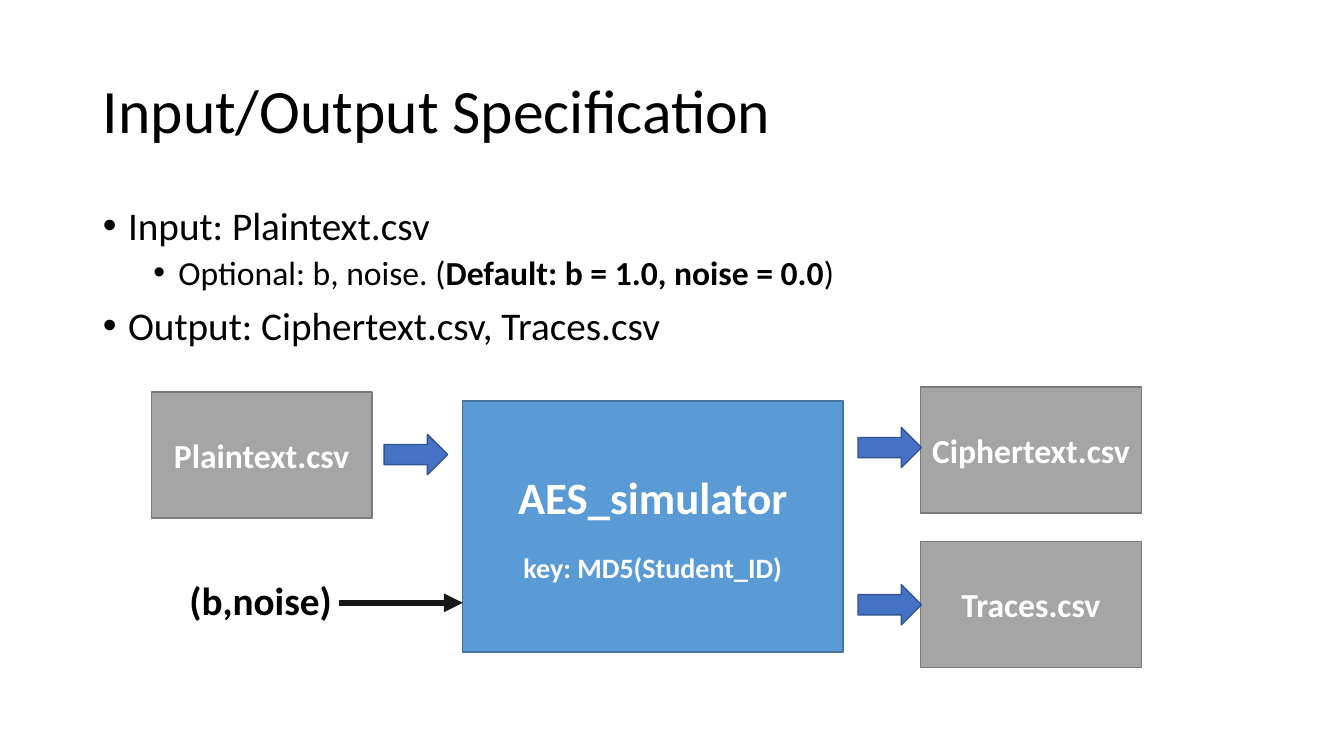
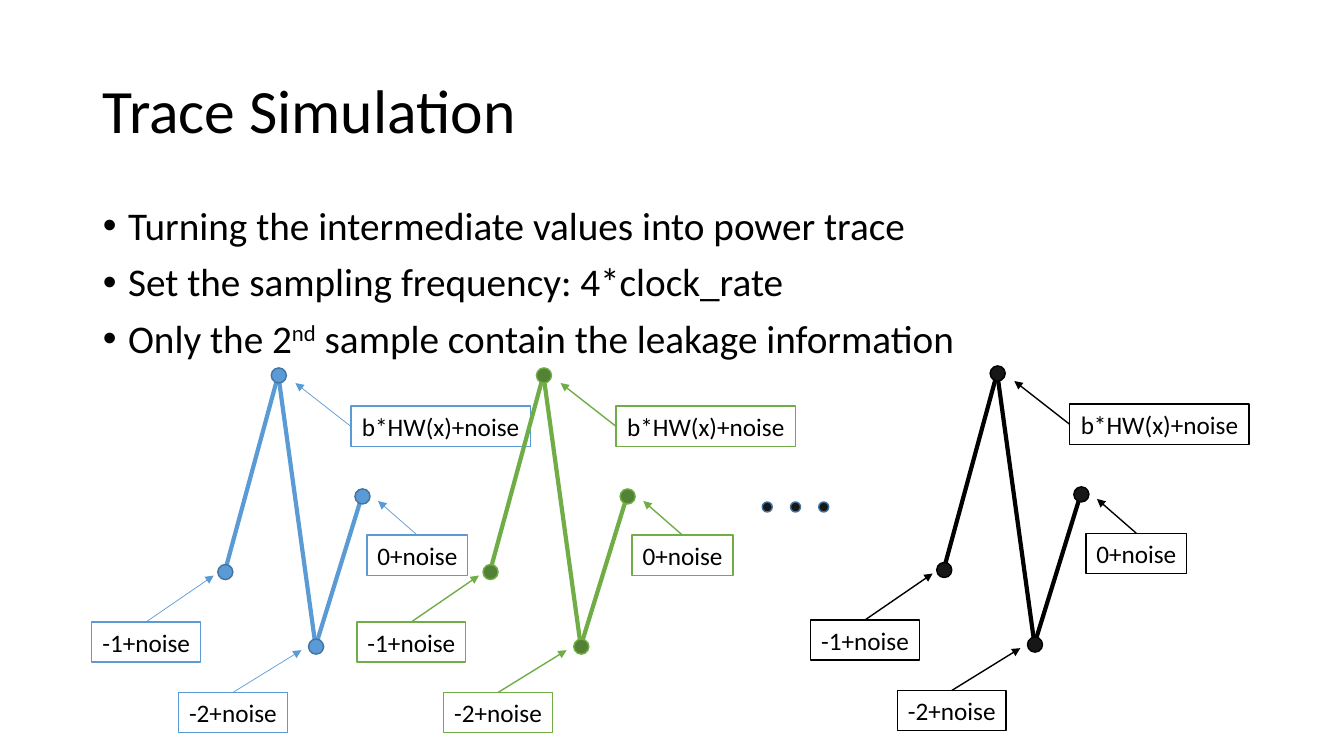
from lxml import etree
from pptx import Presentation
from pptx.dml.color import RGBColor
from pptx.enum.shapes import MSO_CONNECTOR, MSO_SHAPE
from pptx.enum.text import MSO_ANCHOR, MSO_AUTO_SIZE, PP_ALIGN
from pptx.oxml.ns import qn
from pptx.util import Pt

PX = 9144
FONT = "Calibri"
BLACK = RGBColor(0x00, 0x00, 0x00)
WHITE = RGBColor(0xFF, 0xFF, 0xFF)
INK = RGBColor(0x18, 0x17, 0x17)
BLUE = RGBColor(0x5B, 0x9B, 0xD5)
BLUE_EDGE = RGBColor(0x43, 0x73, 0x9E)
ARROW_BLUE = RGBColor(0x44, 0x72, 0xC4)
ARROW_EDGE = RGBColor(0x32, 0x54, 0x91)
GRAY = RGBColor(0xA5, 0xA5, 0xA5)
GRAY_EDGE = RGBColor(0x7A, 0x7A, 0x7A)
GREEN = RGBColor(0x70, 0xAD, 0x47)
DARK_GREEN = RGBColor(0x54, 0x82, 0x35)

RECTANGLE = MSO_SHAPE.RECTANGLE
OVAL = MSO_SHAPE.OVAL
RIGHT_ARROW = MSO_SHAPE.RIGHT_ARROW
STRAIGHT = MSO_CONNECTOR.STRAIGHT
LEFT, CENTER = PP_ALIGN.LEFT, PP_ALIGN.CENTER
TOP, MIDDLE = MSO_ANCHOR.TOP, MSO_ANCHOR.MIDDLE
NO_FIT = MSO_AUTO_SIZE.NONE
TOP_SIDE, LEFT_SIDE = 0, 1

DOT = 15
SAMPLES = [(223, 567), (276, 372), (313, 641), (359, 492)]
LABELS = [
    ("-1+noise", 91, 617, 108, TOP_SIDE, (212, 571)),
    ("-2+noise", 177, 687, 108, TOP_SIDE, (299, 645)),
    ("0+noise", 364, 531, 100, TOP_SIDE, (375, 497)),
    ("b*HW(x)+noise", 348, 403, 178, LEFT_SIDE, (293, 380)),
]


class Deck:
    def __init__(self):
        self.deck = Presentation()
        self.deck.slide_width = 1333 * PX
        self.deck.slide_height = 750 * PX
        self.slide = None

    def place(self, shape, left, top, width, height):
        shape.left, shape.top = left * PX, top * PX
        shape.width, shape.height = width * PX, height * PX

    def span(self, para, text, size, color=BLACK, bold=False, raised=False):
        span = para.add_run()
        span.text = text
        font = span.font
        font.name, font.size, font.bold = FONT, Pt(size), bold
        font.color.rgb = color
        if raised:
            span._r.get_or_add_rPr().set("baseline", "30000")

    def new_slide(self, title):
        self.slide = self.deck.slides.add_slide(self.deck.slide_layouts[1])
        holder = self.slide.shapes.title
        self.place(holder, 92, 40, 1150, 145)
        frame = holder.text_frame
        frame.auto_size = NO_FIT
        frame.vertical_anchor = MIDDLE
        para = frame.paragraphs[0]
        para.alignment, para.line_spacing = LEFT, 0.9
        self.span(para, title, 44)

    def bullets(self, items):
        holder = self.slide.placeholders[1]
        self.place(holder, 92, 200, 1150, 476)
        frame = holder.text_frame
        frame.auto_size = NO_FIT
        frame.vertical_anchor = TOP
        for index, (level, spans) in enumerate(items):
            para = frame.add_paragraph() if index else frame.paragraphs[0]
            para.level, para.line_spacing = level, 0.9
            para.space_before = Pt(5 if level else 10)
            properties = para._p.get_or_add_pPr()
            properties.set("marL", str((25 + 50 * level) * PX))
            properties.set("indent", str(-25 * PX))
            etree.SubElement(properties, qn("a:buFont")).set("typeface", "Arial")
            etree.SubElement(properties, qn("a:buChar")).set("char", "•")
            for text, style in spans:
                self.span(para, text, 24 if level else 28, **style)

    def shape(self, kind, left, top, width, height, fill, edge):
        shape = self.slide.shapes.add_shape(
            kind, left * PX, top * PX, width * PX, height * PX)
        shape.shadow.inherit = False
        shape.fill.solid()
        shape.fill.fore_color.rgb = fill
        shape.line.color.rgb = edge
        shape.line.width = Pt(1)
        return shape

    def box(self, left, top, width, height, fill, edge, lines, color=WHITE, bold=True):
        box = self.shape(RECTANGLE, left, top, width, height, fill, edge)
        frame = box.text_frame
        frame.word_wrap = False
        frame.vertical_anchor = MIDDLE
        for index, (text, size) in enumerate(lines):
            para = frame.add_paragraph() if index else frame.paragraphs[0]
            para.alignment = CENTER
            if index:
                para.space_before = Pt(19)
            self.span(para, text, size, color, bold)
        return box

    def caption(self, left, top, width, height, text, size):
        box = self.slide.shapes.add_textbox(
            left * PX, top * PX, width * PX, height * PX)
        box.text_frame.word_wrap = False
        self.span(box.text_frame.paragraphs[0], text, size, bold=True)

    def line(self, start, end, color, weight, arrow=False):
        line = self.slide.shapes.add_connector(
            STRAIGHT, *(value * PX for value in (*start, *end)))
        line.line.color.rgb = color
        line.line.width = Pt(weight)
        if arrow:
            etree.SubElement(line.line._get_or_add_ln(), qn("a:tailEnd")).set("type", "triangle")
        etree.SubElement(line._element.spPr, qn("a:effectLst"))
        return line

    def trace(self, shift, drop, color, fill, edge, pointer_weight):
        points = [(x + shift, y + drop) for x, y in SAMPLES]
        for start, end in zip(points, points[1:]):
            self.line(start, end, color, 3)
        for x, y in points:
            self.shape(OVAL, x - DOT // 2, y - DOT // 2, DOT, DOT, fill, edge)
        for text, left, top, width, side, (tip_x, tip_y) in LABELS:
            left, top = left + shift, top + drop
            label = self.box(left, top, width, 40, WHITE, color,
                             [(text, 18)], BLACK, False)
            pointer = self.line((left, top), (tip_x + shift, tip_y + drop),
                                color, pointer_weight, True)
            pointer.begin_connect(label, side)


def specification(deck):
    deck.new_slide("Input/Output Specification")
    deck.bullets([
        (0, [("Input: Plaintext.csv", {})]),
        (1, [("Optional: b, noise. (", {}),
             ("Default: b = 1.0, noise = 0.0", {"bold": True}),
             (")", {})]),
        (0, [("Output: Ciphertext.csv, Traces.csv", {})]),
    ])
    deck.box(459, 398, 377, 249, BLUE, BLUE_EDGE,
             [("AES_simulator", 32), ("key: MD5(Student_ID)", 20)])
    for name, left, top in [("Plaintext.csv", 150, 389),
                            ("Ciphertext.csv", 913, 384),
                            ("Traces.csv", 913, 537)]:
        deck.box(left, top, 219, 125, GRAY, GRAY_EDGE, [(name, 24)])
    deck.caption(178, 567, 163, 57, "(b,noise)", 28)
    for left, top in [(381, 431), (851, 424), (851, 580)]:
        deck.shape(RIGHT_ARROW, left, top, 63, 40, ARROW_BLUE, ARROW_EDGE)
    deck.line((336, 598), (459, 598), INK, 4.5, True)


def simulation(deck):
    deck.new_slide("Trace Simulation")
    deck.bullets([
        (0, [("Turning the intermediate values into power trace", {})]),
        (0, [("Set the sampling frequency: 4*clock_rate", {})]),
        (0, [("Only the 2", {}), ("nd", {"raised": True}),
             (" sample contain the leakage information", {})]),
    ])
    deck.trace(0, 0, BLUE, BLUE, BLUE_EDGE, 0.5)
    deck.trace(263, 0, GREEN, DARK_GREEN, GREEN, 1)
    deck.trace(713, -2, BLACK, INK, BLACK, 1)
    for left in range(756, 813, 28):
        deck.shape(OVAL, left, 498, 10, 10, INK, BLUE_EDGE)


def main():
    deck = Deck()
    specification(deck)
    simulation(deck)
    deck.deck.save("out.pptx")


if __name__ == "__main__":
    main()
